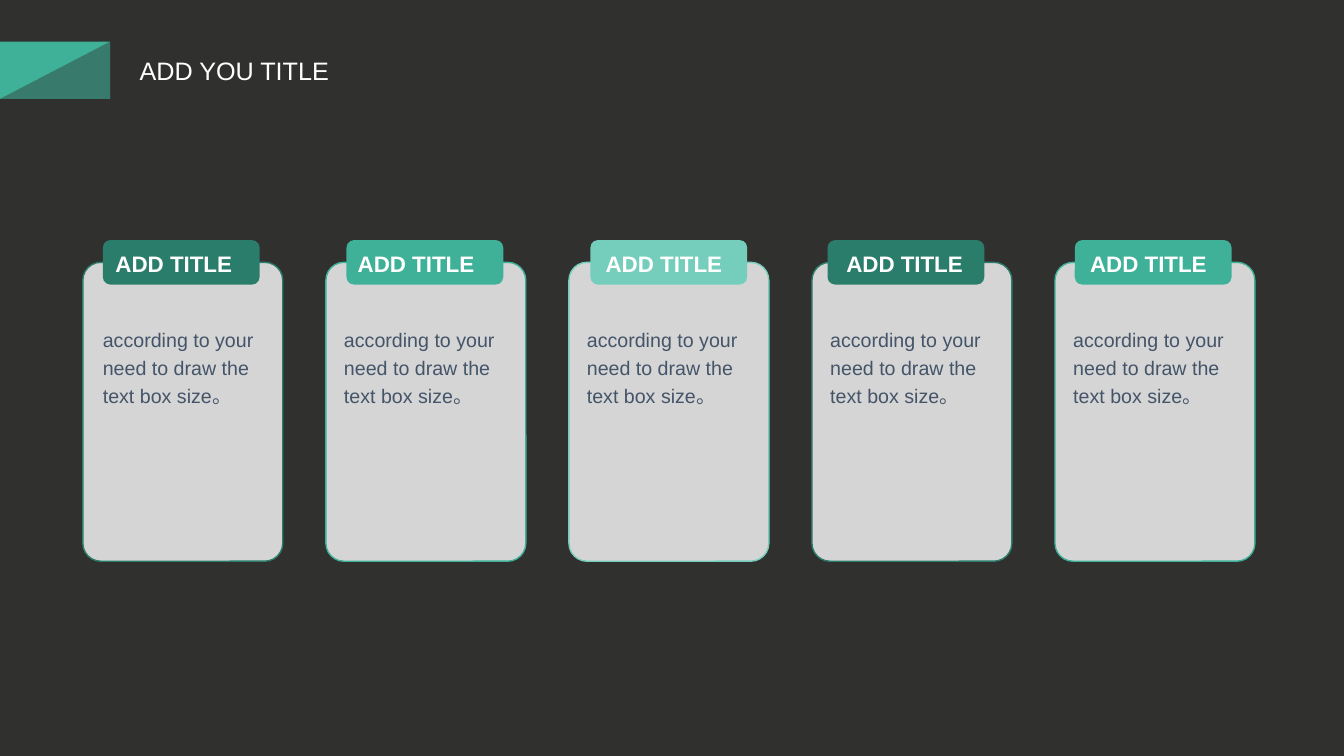
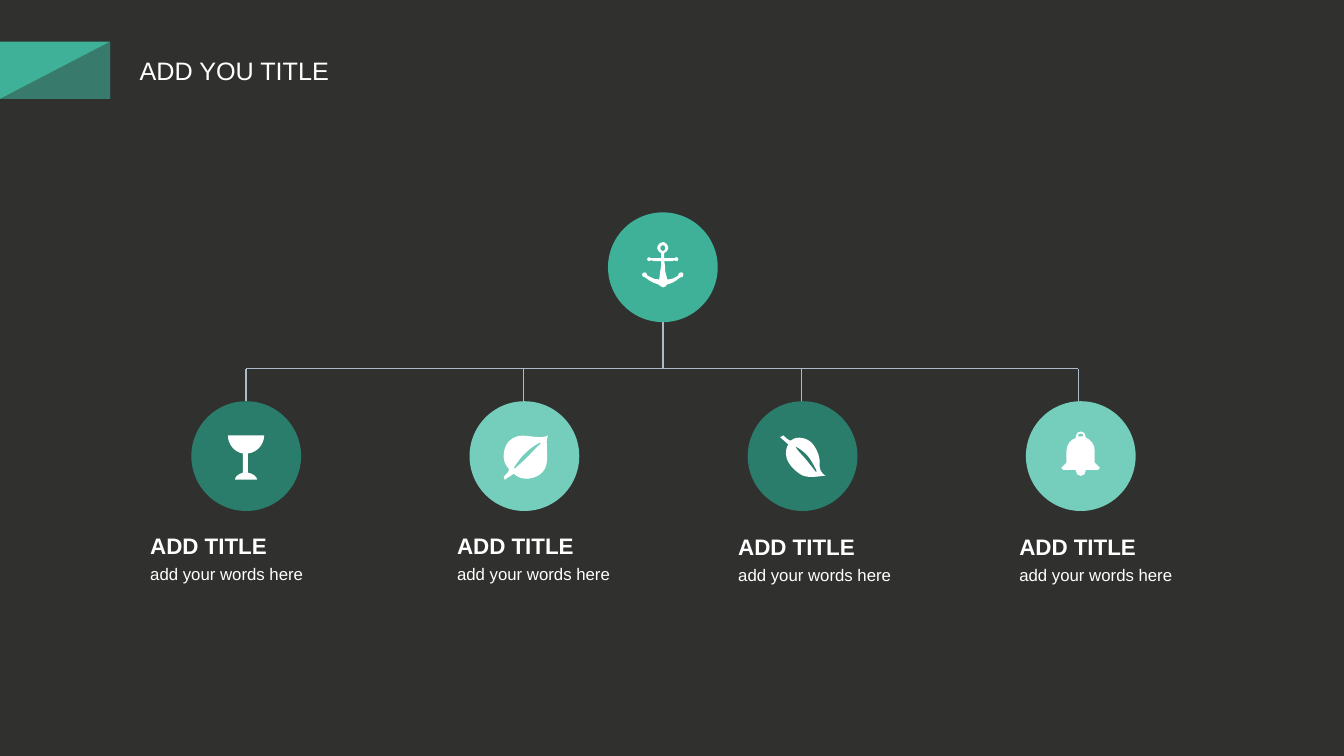
from lxml import etree
from pptx import Presentation
from pptx import util as u
from pptx.dml.color import RGBColor
from pptx.enum import shapes, text
from pptx.oxml import ns

Pt = u.Pt
CHARCOAL = RGBColor(0x30, 0x30, 0x2F)
WHITE = RGBColor(0xFF, 0xFF, 0xFF)
TEAL = RGBColor(0x3E, 0xB1, 0x98)
DARK_TEAL = RGBColor(0x2B, 0x7D, 0x6B)
LIGHT_TEAL = RGBColor(0x74, 0xCE, 0xBB)
SLATE = RGBColor(0x44, 0x54, 0x69)
LINE_GREY = RGBColor(0xAD, 0xBA, 0xCA)

SHAPE = shapes.MSO_SHAPE
ICON_UNIT = 0.72

GOBLET = [[(36, 0), (0, 0), (0, 9, 7, 17, 15, 18), (15, 37),
           (11, 38, 7, 41, 7, 44), (29, 44), (29, 41, 25, 38, 20, 37),
           (20, 18), (29, 17, 36, 9, 36, 0)]]
BELL = [[(33, 31), (33, 19), (33, 13, 29, 8, 24, 6), (24, 5),
         (24, 2, 22, 0, 19, 0), (17, 0, 14, 2, 14, 5), (15, 6),
         (9, 8, 5, 13, 5, 19), (5, 31), (0, 36), (0, 37, 1, 38, 2, 38),
         (14, 38), (14, 39), (14, 42, 17, 44, 19, 44),
         (22, 44, 24, 42, 24, 39), (24, 38), (36, 38),
         (37, 38, 38, 37, 38, 36)],
        [(16, 5), (16, 3, 18, 2, 19, 2), (21, 2, 22, 3, 22, 5),
         (20, 5, 18, 5, 16, 5)]]
ROUND_LEAF = [[(48, 1), (48, 1, 45, 4, 31, 2), (19, 0, 14, 2, 9, 7),
               (5, 11, 0, 25, 9, 34), (11, 36, 4, 42, 4, 42), (5, 45),
               (14, 39), (14, 39, 19, 44, 26, 44), (35, 44, 47, 39, 47, 25),
               (48, 15, 45, 9, 48, 1)],
              [(41, 9), (41, 9, 36, 13, 29, 21), (23, 27, 15, 34, 15, 34),
               (14, 33), (14, 33, 21, 22, 26, 18), (32, 12, 40, 8, 40, 8)]]
SLIM_LEAF = [[(41, 29), (42, 23, 39, 15, 36, 11), (31, 2, 18, 0, 13, 5),
              (12, 7, 5, 0, 5, 0), (2, 2), (10, 9), (10, 9, 0, 23, 21, 38),
              (28, 43, 37, 41, 47, 40), (47, 40, 41, 38, 41, 29)],
             [(38, 36), (37, 36), (37, 36, 31, 28, 25, 21),
              (18, 14, 17, 11, 17, 11), (17, 11, 22, 13, 28, 19),
              (33, 24, 38, 35, 38, 35)]]
ANCHOR = [[(39, 30), (37, 30, 36, 31, 36, 32), (36, 33),
           (35, 34, 33, 35, 31, 36), (29, 37, 27, 37, 25, 37), (23, 29),
           (23, 29, 23, 24, 22, 19), (30, 19), (32, 18),
           (33, 19, 33, 19, 34, 19), (35, 19, 36, 18, 36, 17),
           (36, 16, 35, 15, 34, 15), (33, 15, 33, 15, 32, 16), (22, 16),
           (22, 11), (24, 10, 26, 8, 26, 6), (26, 3, 23, 0, 21, 0),
           (18, 0, 15, 3, 15, 6), (15, 8, 17, 10, 19, 11), (19, 16), (9, 16),
           (8, 15, 8, 15, 7, 15), (6, 15, 5, 16, 5, 17),
           (5, 18, 6, 19, 7, 19), (8, 19, 8, 19, 9, 18), (12, 19), (19, 19),
           (19, 24, 18, 29, 18, 29), (17, 37), (14, 37, 11, 37, 9, 35),
           (8, 34, 6, 34, 5, 33), (5, 32), (5, 31, 4, 30, 3, 30),
           (1, 30, 0, 31, 0, 32), (0, 34, 1, 35, 3, 35),
           (4, 36, 6, 37, 7, 38), (10, 40, 13, 41, 16, 42),
           (16, 42, 20, 45, 21, 45), (22, 45, 25, 43, 25, 42),
           (29, 41, 31, 40, 34, 38), (35, 37, 37, 36, 38, 35), (39, 35),
           (40, 35, 41, 34, 41, 32), (41, 31, 40, 30, 39, 30)],
          [(18, 6), (18, 4, 19, 3, 21, 3), (22, 3, 23, 4, 23, 6),
           (23, 7, 22, 9, 21, 9), (19, 9, 18, 7, 18, 6)]]


class Deck:
    font = "Arial"

    def __init__(self):
        self.prs = Presentation()
        self.prs.slide_width = Pt(960)
        self.prs.slide_height = Pt(540)
        self.s = None

    def slide(self, title):
        self.s = self.prs.slides.add_slide(self.prs.slide_layouts[6])
        fill = self.s.background.fill
        fill.solid()
        fill.fore_color.rgb = CHARCOAL
        band = (0, 29.7, 78.8, 41)
        self.shape(SHAPE.RECTANGLE, *band, TEAL)
        sp = self.shape(SHAPE.RIGHT_TRIANGLE, *band, CHARCOAL, alpha=42)
        sp._element.spPr.find(ns.qn("a:xfrm")).set("flipH", "1")
        self.text(title, 92.6, 36, 151, 29, 18, inset=True, wrap=False)

    def paint(self, sp, color, alpha=100, line=None):
        sp.shadow.inherit = False
        sp.fill.solid()
        sp.fill.fore_color.rgb = color
        if alpha < 100:
            clr = sp._element.spPr.find(ns.qn("a:solidFill"))[0]
            etree.SubElement(clr, ns.qn("a:alpha")).set("val", str(alpha * 1000))
        if line is None:
            sp.line.fill.background()
        else:
            sp.line.color.rgb = line
            sp.line.width = Pt(1)

    def shape(self, kind, x, y, w, h, color, alpha=100, line=None, radius=None):
        sp = self.s.shapes.add_shape(kind, Pt(x), Pt(y), Pt(w), Pt(h))
        if radius is not None:
            sp.adjustments[0] = radius
        self.paint(sp, color, alpha, line)
        return sp

    def text(self, words, x, y, w, h, size, color=WHITE, bold=False,
             inset=False, wrap=True, spacing=None):
        tf = self.s.shapes.add_textbox(Pt(x), Pt(y), Pt(w), Pt(h)).text_frame
        tf.text = words
        tf.word_wrap = wrap
        tf.auto_size = text.MSO_AUTO_SIZE.SHAPE_TO_FIT_TEXT
        if not inset:
            tf.margin_left = tf.margin_right = tf.margin_top = tf.margin_bottom = 0
        p = tf.paragraphs[0]
        if spacing:
            p.line_spacing = spacing
        font = p.runs[0].font
        font.name = self.font
        font.size = Pt(size)
        font.bold = bold
        font.color.rgb = color

    def line(self, x1, y1, x2, y2):
        c = self.s.shapes.add_connector(shapes.MSO_CONNECTOR.STRAIGHT,
                                        Pt(x1), Pt(y1), Pt(x2), Pt(y2))
        c.line.color.rgb = LINE_GREY
        c.line.width = Pt(1)
        etree.SubElement(c._element.spPr, ns.qn("a:effectLst"))

    def icon(self, contours, x, y):
        fb = self.s.shapes.build_freeform(*contours[0][0], scale=Pt(ICON_UNIT))
        for i, (start, *steps) in enumerate(contours):
            if i:
                fb.move_to(*start)
            fb.add_line_segments([step[k:k + 2] for step in steps
                                  for k in range(0, len(step), 2)], close=True)
        sp = fb.convert_to_shape(Pt(x), Pt(y))
        self.bend(sp, [step for c in contours for step in c[1:]])
        self.paint(sp, WHITE)

    def bend(self, sp, steps):
        segments = iter(list(sp._element.iter(ns.qn("a:lnTo"))))
        for step in steps:
            segment = next(segments)
            if len(step) == 6:
                segment.tag = ns.qn("a:cubicBezTo")
                for _ in range(2):
                    extra = next(segments)
                    segment.append(extra[0])
                    extra.getparent().remove(extra)


def cards(deck):
    deck.slide("ADD YOU TITLE")
    columns = [
        (DARK_TEAL, 73.44, 75.4, 73.44),
        (TEAL, 247.5, 248.4, 245.7),
        (LIGHT_TEAL, 421.7, 425.5, 419.2),
        (DARK_TEAL, 591.12, 597.4, 593.0),
        (TEAL, 767.7, 771.6, 766.6),
    ]
    for i, (color, tab_x, label_x, body_x) in enumerate(columns):
        deck.shape(SHAPE.ROUNDED_RECTANGLE, 59.2 + 173.6 * i, 187.4, 142.8, 213.5,
                   WHITE, alpha=80, line=color, radius=0.09)
    for color, tab_x, label_x, body_x in columns:
        deck.shape(SHAPE.ROUNDED_RECTANGLE, tab_x, 171.5, 112, 31.8, color, radius=0.17)
    for color, tab_x, label_x, body_x in columns:
        deck.text("according to your need to draw the text box size。",
                  body_x, 230.7, 116.6, 59, 14, SLATE, spacing=1.2)
    for color, tab_x, label_x, body_x in columns:
        deck.text("ADD TITLE", label_x, 175, 112, 26.6, 16, bold=True, inset=True)


def tree(deck):
    deck.slide("ADD YOU TITLE")
    bar_y, trunk_x, size = 263.3, 473.6, 78.4
    drops = (175.7, 373.9, 572.6, 770.2)
    for x in drops:
        deck.line(x, 300, x, bar_y)
    deck.line(drops[0], bar_y, drops[-1], bar_y)
    deck.line(trunk_x, bar_y, trunk_x, 226)
    deck.shape(SHAPE.OVAL, 434.3, 151.7, size, size, TEAL)
    deck.icon(ANCHOR, 458.64, 172.9)
    branches = [
        (DARK_TEAL, GOBLET, 162.8, 311, 107.3, 379.8),
        (LIGHT_TEAL, ROUND_LEAF, 356.9, 310.3, 326.5, 379.8),
        (DARK_TEAL, SLIM_LEAF, 555.9, 311, 527.3, 380.6),
        (LIGHT_TEAL, BELL, 758.2, 308.2, 728.1, 380.6),
    ]
    for i, (color, icon, icon_x, icon_y, x, y) in enumerate(branches):
        deck.shape(SHAPE.OVAL, 136.7 + 198.7 * i, 286.6, size, size, color)
        deck.icon(icon, icon_x, icon_y)
        deck.text("ADD TITLE", x, y, 154, 19.4, 16, bold=True)
        deck.text("add your words here", x, y + 22.6, 183.6, 14.4, 12)


def main():
    deck = Deck()
    cards(deck)
    tree(deck)
    deck.prs.save("out.pptx")


if __name__ == "__main__":
    main()
